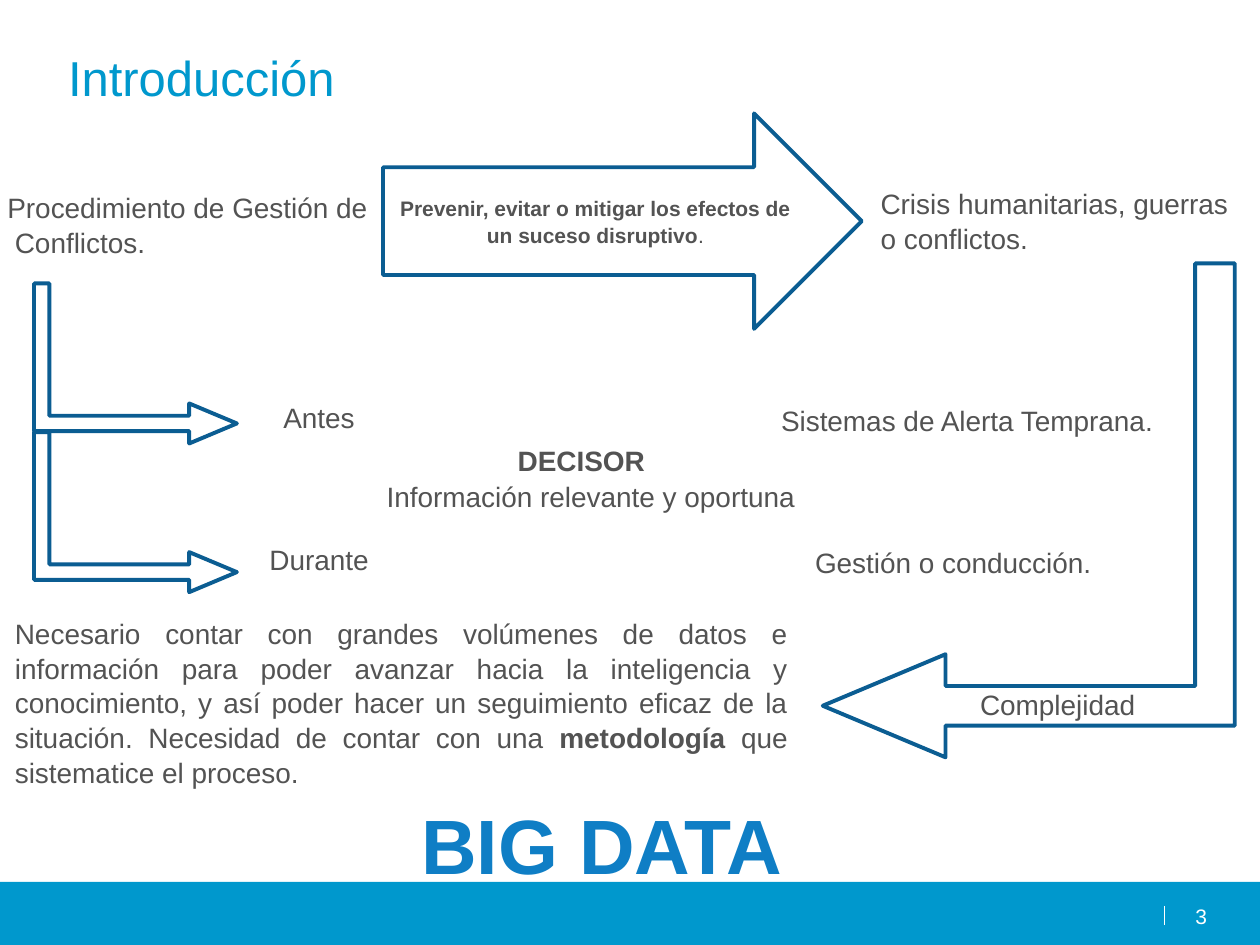
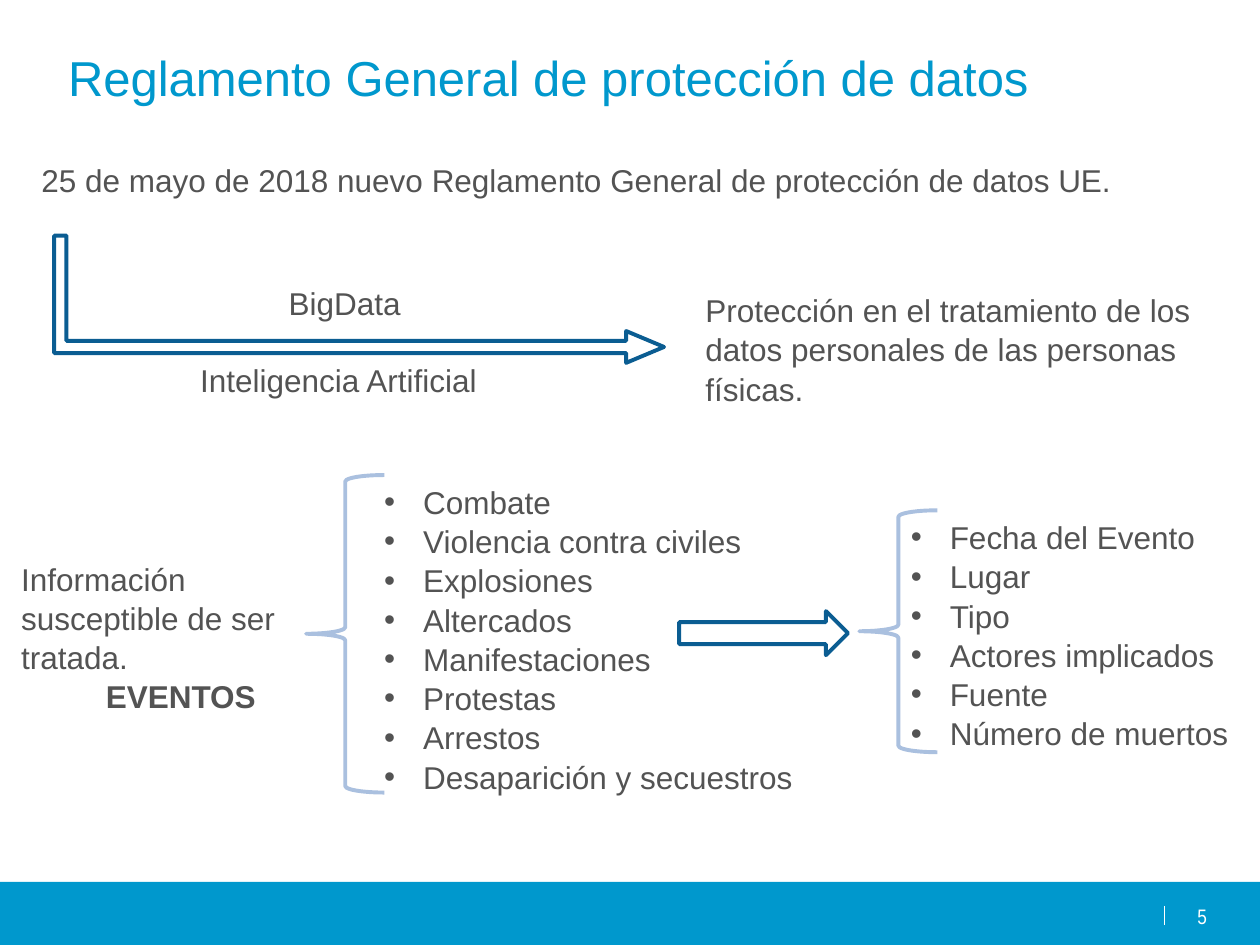
from dataclasses import dataclass

from lxml import etree
from pptx import Presentation
from pptx.dml.color import RGBColor
from pptx.enum.shapes import MSO_CONNECTOR, MSO_SHAPE as Shape
from pptx.enum.text import MSO_ANCHOR as Anchor, PP_ALIGN as Align
from pptx.oxml.ns import qn
from pptx.util import Inches, Pt


@dataclass(frozen=True)
class Theme:
    band: str = "0098CD"
    body: str = "535353"
    arrow: str = "0B5D92"
    brace: str = "AAC0DF"
    accent: str = "0F7EC5"
    white: str = "FFFFFF"
    font: str = "Arial"
    title_size: int = 28
    large: int = 18
    medium: int = 16
    small: int = 12
    huge: int = 44
    outline: float = 2.25
    spacing: float = 1.04
    bent: tuple = (0.096, 0.125, 0.298)


class Deck:
    def __init__(self, theme):
        self.theme = theme
        self.prs = Presentation()
        self.prs.slide_width, self.prs.slide_height = Inches(10), Inches(7.5)
        self.s = None
        self.size = theme.medium

    def slide(self, title, number, size, number_font=None):
        """Start a slide with its title, footer band and default text size."""
        t = self.theme
        self.s = self.prs.slides.add_slide(self.prs.slide_layouts[6])
        self.size = size
        self.shape(Shape.RECTANGLE, 0, 7, 10, 0.5, fill=t.band)
        self.divider(9.24, 7.19, 7.34)
        self.text(number, 9.28, 7.17, 0.3, 0.19, size=t.small, color=t.white,
                  font=number_font, align=Align.RIGHT, inset=0, spacing=1)
        self.text(title, 0.49, 0.33, 8.79, 0.57, size=t.title_size,
                  color=t.band, inset=0.05, spacing=1)

    def divider(self, x, top, bottom):
        line = self.s.shapes.add_connector(
            MSO_CONNECTOR.STRAIGHT, Inches(x), Inches(top), Inches(x), Inches(bottom))
        line.line.color.rgb = RGBColor.from_string(self.theme.white)
        line.line.width = Pt(0.75)
        etree.SubElement(line._element.spPr, qn("a:effectLst"))

    def shape(self, kind, x, y, w, h, fill=None, line=None, rotation=0, adjust=()):
        sp = self.s.shapes.add_shape(kind, Inches(x), Inches(y), Inches(w), Inches(h))
        sp.shadow.inherit = False
        sp.rotation = rotation
        for i, value in enumerate(adjust):
            sp.adjustments[i] = value
        if fill:
            sp.fill.solid()
            sp.fill.fore_color.rgb = RGBColor.from_string(fill)
        else:
            sp.fill.background()
        if line:
            sp.line.color.rgb = RGBColor.from_string(line)
            sp.line.width = Pt(self.theme.outline)
        else:
            sp.line.fill.background()
        return sp

    def arrow(self, x, y, w, h):
        return self.shape(Shape.RIGHT_ARROW, x, y, w, h, line=self.theme.arrow)

    def bent_arrow(self, x, y, w, h, mirrored=False):
        """Arrow that goes down, then sideways; x, y, w, h are as it shows."""
        sp = self.shape(Shape.BENT_UP_ARROW, x + (w - h) / 2, y + (h - w) / 2, h, w,
                        line=self.theme.arrow, rotation=90, adjust=self.theme.bent)
        if mirrored:
            sp._element.spPr.find(qn("a:xfrm")).set("flipV", "1")

    def brace(self, x, y, h):
        self.shape(Shape.LEFT_BRACE, x, y, 0.62, h, line=self.theme.brace)

    def text(self, content, x, y, w, h, wrap=True, inset=None, **style):
        box = self.s.shapes.add_textbox(Inches(x), Inches(y), Inches(w), Inches(h))
        tf = box.text_frame
        tf.word_wrap = wrap
        if inset is not None:
            tf.margin_left = tf.margin_right = Inches(inset)
            tf.margin_top = tf.margin_bottom = Inches(inset)
        self.fill_text(tf, content, **style)
        return tf

    def label(self, content, x, y, w, h=0.37, **style):
        self.text(content, x, y, w, h, wrap=False, **style)

    def bullets(self, items, x, y, w, h):
        tf = self.text("\n".join(items), x, y, w, h, wrap=False)
        for p in tf.paragraphs:
            pPr = p._p.get_or_add_pPr()
            pPr.set("marL", str(Inches(0.31)))
            pPr.set("indent", str(-Inches(0.31)))
            etree.SubElement(pPr, qn("a:buFont"), typeface=self.theme.font)
            etree.SubElement(pPr, qn("a:buChar"), char="•")

    def fill_text(self, tf, content, size=None, color=None, font=None, bold=False,
                  align=Align.LEFT, spacing=None):
        """Fill a frame: newlines split paragraphs, ** switches bold."""
        t = self.theme
        for i, line in enumerate(content.split("\n")):
            p = tf.add_paragraph() if i else tf.paragraphs[0]
            p.alignment = align
            p.line_spacing = spacing or t.spacing
            for j, part in enumerate(line.split("**")):
                if not part:
                    continue
                r = p.add_run()
                r.text = part
                r.font.size = Pt(size or self.size)
                r.font.name = font or t.font
                r.font.bold = bold or j % 2 == 1
                r.font.color.rgb = RGBColor.from_string(color or t.body)


def introduction(d):
    t = d.theme
    d.slide("Introducción", "3", t.medium)
    tf = d.text("Procedimiento de Gestión de\nConflictos.", -0.04, 1.45, 3.09, 0.64,
                wrap=False)
    tf.paragraphs[1]._p.get_or_add_pPr().set("marL", str(Inches(0.06)))
    d.label("DECISOR", 4.01, 3.46, 1.22, bold=True)

    prevent = d.arrow(3.04, 0.9, 3.8, 1.71).text_frame
    prevent.word_wrap = True
    prevent.vertical_anchor = Anchor.MIDDLE
    d.fill_text(prevent,
                "**Prevenir, evitar o mitigar los efectos de un suceso disruptivo**.",
                size=t.small, align=Align.CENTER)
    d.text("Crisis humanitarias, guerras o conflictos.", 6.89, 1.42, 3.02, 0.64)

    for y in (2.25, 3.43):
        d.bent_arrow(0.27, y, 1.61, 1.27)
    d.bent_arrow(6.53, 2.09, 3.27, 3.92, mirrored=True)
    for content, x, y, w in (
        ("Antes", 2.15, 3.12, 0.84),
        ("Durante", 2.04, 4.25, 1),
        ("Sistemas de Alerta Temprana.", 6.1, 3.14, 3.19),
        ("Gestión o conducción.", 6.37, 4.27, 2.42),
        ("Información relevante y oportuna", 2.97, 3.75, 3.48),
        ("Complejidad", 7.68, 5.4, 1.46),
    ):
        d.label(content, x, y, w)

    d.text("Necesario contar con grandes volúmenes de datos e información para poder "
           "avanzar hacia la inteligencia y conocimiento, y así poder hacer un "
           "seguimiento eficaz de la situación. Necesidad de contar con una "
           "**metodología** que sistematice el proceso.",
           0.02, 4.83, 6.33, 1.45, align=Align.JUSTIFY)
    d.label("BIG DATA", 3.23, 6.25, 3.09, 0.84, size=t.huge, color=t.accent,
            bold=True, align=Align.CENTER)


def data_protection(d):
    d.slide("Reglamento General de protección de datos", "5", d.theme.large,
            number_font="Arial Narrow")
    d.text("25 de mayo de 2018 nuevo Reglamento General de protección de datos UE.",
           0.23, 1.22, 9.35, 0.4)
    d.bent_arrow(0.43, 1.87, 4.84, 1.01)
    tf = d.text("BigData\nInteligencia Artificial", 1.49, 2.19, 2.49, 1.01, wrap=False)
    tf.paragraphs[0].alignment = Align.CENTER
    tf.paragraphs[1].space_before = Pt(21.6)
    d.text("Protección en el tratamiento de los datos personales de las personas físicas.",
           5.5, 2.25, 4.19, 1.01)

    tf = d.text("Información susceptible de ser tratada.\n**EVENTOS**",
                0.07, 4.38, 2.73, 1.31)
    tf.paragraphs[1].alignment = Align.CENTER
    d.brace(2.43, 3.77, 2.52)
    d.bullets(("Combate", "Violencia contra civiles", "Explosiones", "Altercados",
               "Manifestaciones", "Protestas", "Arrestos", "Desaparición y secuestros"),
              2.95, 3.77, 3.48, 2.52)
    d.arrow(5.39, 4.85, 1.34, 0.35)
    d.brace(6.82, 4.05, 1.92)
    d.bullets(("Fecha del Evento", "Lugar", "Tipo", "Actores implicados", "Fuente",
               "Número de muertos"), 7.13, 4.05, 2.75, 1.92)


def main():
    d = Deck(Theme())
    introduction(d)
    data_protection(d)
    d.prs.save("out.pptx")


if __name__ == "__main__":
    main()
